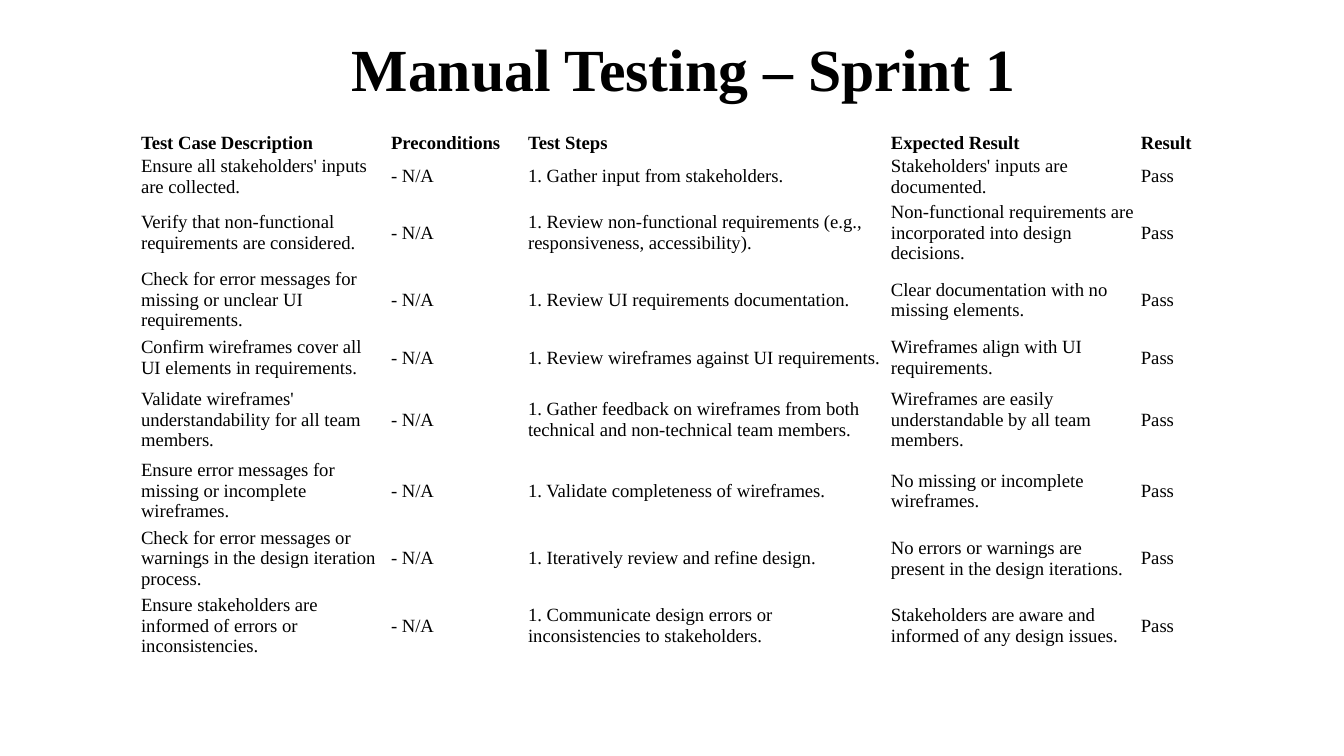
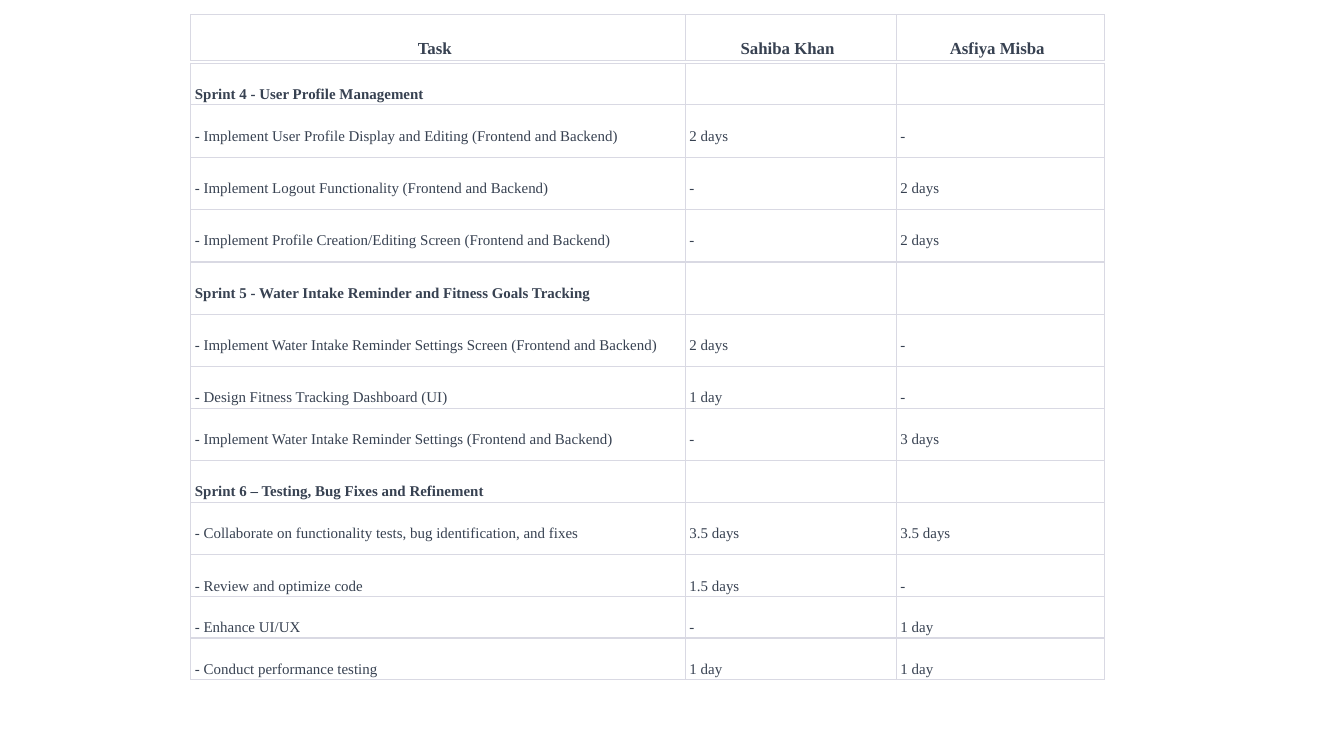
from dataclasses import dataclass

from lxml import etree
from pptx import Presentation
from pptx import util as u
from pptx.dml.color import RGBColor
from pptx.enum import text as tx
from pptx.oxml import ns


# Theme: colours, font and type sizes
@dataclass(frozen=True)
class Theme:
    font: str = "Times New Roman"
    black: str = "000000"
    slate: str = "374151"
    rule: str = "D9D9E3"
    rule_pt: float = 0.75
    title: float = 32
    body: float = 10
    head: float = 9
    small: float = 8
    plain: str = "{2D5ABB26-0587-4C30-8999-92F81FD0307C}"  # table without style


MID, LOW, TOP = (tx.MSO_ANCHOR.MIDDLE, tx.MSO_ANCHOR.BOTTOM, tx.MSO_ANCHOR.TOP)
LEFT, MIDDLE = tx.PP_ALIGN.LEFT, tx.PP_ALIGN.CENTER


def write(frame, words, size, color, bold=False, align=LEFT):
    """Put one formatted paragraph into a text frame."""
    para = frame.paragraphs[0]
    para.alignment = align
    if not words:  # an empty cell still needs a type size
        end = etree.SubElement(para._p, ns.qn("a:endParaRPr"))
        end.set("sz", str(int(size * 100)))
        return
    run = para.add_run()
    run.text = words
    font = run.font
    font.name, font.size, font.bold = Theme.font, u.Pt(size), bold
    font.color.rgb = RGBColor.from_string(color)


class Deck:
    def __init__(self, theme):
        self.theme = theme
        self.prs = Presentation()
        self.prs.slide_width = u.Inches(10)
        self.prs.slide_height = u.Inches(10) * 9 // 16
        self.slide = None

    def page(self):
        self.slide = self.prs.slides.add_slide(self.prs.slide_layouts[6])

    def title(self, words):
        box = self.slide.shapes.add_textbox(
            u.Inches(0.59), u.Inches(0.1), u.Inches(9), u.Inches(0.8))
        frame = box.text_frame
        frame.word_wrap = True
        frame.vertical_anchor = MID
        write(frame, words, self.theme.title, self.theme.black, True, MIDDLE)

    def edge(self, cell):
        """Draw a thin line on all four sides of a cell."""
        props = cell._tc.get_or_add_tcPr()
        for side in ("lnL", "lnR", "lnT", "lnB"):
            line = etree.SubElement(props, ns.qn("a:" + side))
            line.set("w", str(u.Pt(self.theme.rule_pt)))
            fill = etree.SubElement(line, ns.qn("a:solidFill"))
            etree.SubElement(fill, ns.qn("a:srgbClr")).set("val", self.theme.rule)

    def table(self, left, top, cols, highs, rows, inset, anchor, size, color,
              strong, align=LEFT, lined=False):
        """Add a table; strong(row) tells whether a row is bold."""
        shape = self.slide.shapes.add_table(
            len(rows), len(cols), u.Inches(left), u.Inches(top),
            u.Inches(sum(cols)), u.Inches(sum(highs)))
        grid = shape.table
        grid.first_row = grid.horz_banding = False
        shape._element.find(".//" + ns.qn("a:tableStyleId")).text = self.theme.plain
        for col, wide in zip(grid.columns, cols):
            col.width = u.Inches(wide)
        for line, high, row in zip(grid.rows, highs, rows):
            line.height = u.Inches(high)
            for cell, words in zip(line.cells, row):
                if lined:
                    self.edge(cell)
                cell.fill.background()
                (cell.margin_left, cell.margin_top, cell.margin_right,
                 cell.margin_bottom) = map(u.Inches, inset)
                cell.vertical_anchor = anchor
                write(cell.text_frame, words, size, color, strong(row), align)

    def save(self):
        self.prs.save("out.pptx")


# Slide 1: test cases as description, steps, expected result
HEADS = ("Test Case Description", "Preconditions", "Test Steps",
         "Expected Result", "Result")
CASES = [
    ("Ensure all stakeholders' inputs are collected.",
     "Gather input from stakeholders.",
     "Stakeholders' inputs are documented."),
    ("Verify that non-functional requirements are considered.",
     "Review non-functional requirements (e.g., responsiveness, accessibility).",
     "Non-functional requirements are incorporated into design decisions."),
    ("Check for error messages for missing or unclear UI requirements.",
     "Review UI requirements documentation.",
     "Clear documentation with no missing elements."),
    ("Confirm wireframes cover all UI elements in requirements.",
     "Review wireframes against UI requirements.",
     "Wireframes align with UI requirements."),
    ("Validate wireframes' understandability for all team members.",
     "Gather feedback on wireframes from both technical and non-technical "
     "team members.",
     "Wireframes are easily understandable by all team members."),
    ("Ensure error messages for missing or incomplete wireframes.",
     "Validate completeness of wireframes.",
     "No missing or incomplete wireframes."),
    ("Check for error messages or warnings in the design iteration process.",
     "Iteratively review and refine design.",
     "No errors or warnings are present in the design iterations."),
    ("Ensure stakeholders are informed of errors or inconsistencies.",
     "Communicate design errors or inconsistencies to stakeholders.",
     "Stakeholders are aware and informed of any design issues."),
]

# Slide 2: tasks with the days of each person
PEOPLE = ("Task", "Sahiba Khan", "Asfiya Misba")
TASKS = [
    ("Sprint 4 - User Profile Management", "", ""),
    ("- Implement User Profile Display and Editing (Frontend and Backend)",
     "2 days", "-"),
    ("- Implement Logout Functionality (Frontend and Backend)", "-", "2 days"),
    ("- Implement Profile Creation/Editing Screen (Frontend and Backend)",
     "-", "2 days"),
    ("Sprint 5 - Water Intake Reminder and Fitness Goals Tracking", "", ""),
    ("- Implement Water Intake Reminder Settings Screen (Frontend and Backend)",
     "2 days", "-"),
    ("- Design Fitness Tracking Dashboard (UI)", "1 day", "-"),
    ("- Implement Water Intake Reminder Settings (Frontend and Backend)",
     "-", "3 days"),
    ("Sprint 6 – Testing, Bug Fixes and Refinement", "", ""),
    ("- Collaborate on functionality tests, bug identification, and fixes",
     "3.5 days", "3.5 days"),
    ("- Review and optimize code", "1.5 days", "-"),
    ("- Enhance UI/UX", "-", "1 day"),
    ("- Conduct performance testing", "1 day", "1 day"),
]


def tests(deck):
    look = deck.theme
    deck.page()
    deck.title("Manual Testing – Sprint 1")
    rows = [HEADS] + [(case, "- N/A", "1. " + step, goal, "Pass")
                      for case, step, goal in CASES]
    deck.table(1.03, 0.98, (1.86, 1.02, 2.7, 1.86, 0.67),
               (0.16, 0.29, 0.49, 0.42, 0.36, 0.56, 0.36, 0.49, 0.49), rows,
               (0.02, 0, 0.03, 0), MID, look.body, look.black,
               strong=lambda row: row is HEADS)


def plan(deck):
    look = deck.theme
    deck.page()
    # Header strip
    deck.table(1.42, 0.11, (3.68, 1.57, 1.55), (0.34,), [PEOPLE],
               (0.04, 0.02, 0.09, 0.02), LOW, look.head, look.slate,
               strong=lambda row: True, align=MIDDLE, lined=True)
    # Task rows, low or tall
    low, tall = 0.31, 0.39
    short = (0, 6, 8, 10, 11, 12)
    highs = [low if spot in short else tall for spot in range(len(TASKS))]
    deck.table(1.42, 0.47, (3.68, 1.57, 1.55), highs, TASKS,
               (0.03, 0.17, 0.03, 0), TOP, look.small, look.slate,
               strong=lambda row: row[0].startswith("Sprint"), lined=True)


def main():
    deck = Deck(Theme())
    tests(deck)
    plan(deck)
    deck.save()


if __name__ == "__main__":
    main()
